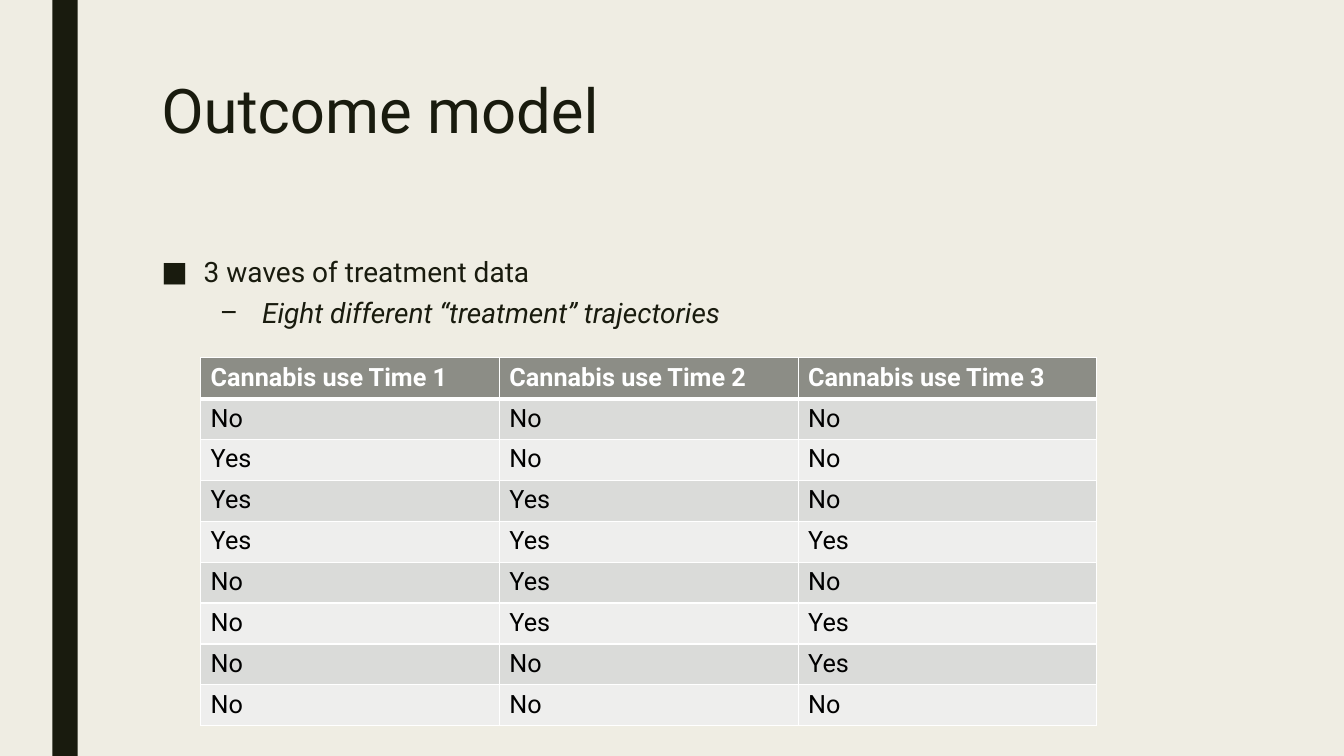
from lxml import etree
from pptx import Presentation
from pptx import util as u
from pptx.dml.color import RGBColor
from pptx.enum import shapes, text
from pptx.oxml.ns import qn

FONT = "Roboto"
INK, PAPER, WHITE, BLACK = "191B0E", "EFEDE3", "FFFFFF", "000000"
HEADER, BANDS = "8C8D86", ("DADBD9", "EEEEED")

HEADINGS = [f"Cannabis use Time {wave}" for wave in (1, 2, 3)]
TRAJECTORIES = [
    ("No", "No", "No"),
    ("Yes", "No", "No"),
    ("Yes", "Yes", "No"),
    ("Yes", "Yes", "Yes"),
    ("No", "Yes", "No"),
    ("No", "Yes", "Yes"),
    ("No", "No", "Yes"),
    ("No", "No", "No"),
]


def rgb(color):
    return RGBColor.from_string(color)


def inches(box):
    return [u.Inches(v) for v in box]


def style(p, size, color, bold=False, italic=False):
    for r in p.runs:
        f = r.font
        f.name, f.size, f.bold, f.italic = FONT, u.Pt(size), bold, italic
        f.color.rgb = rgb(color)


def place(sp, box):
    """Moves a placeholder and returns its top-anchored text frame."""
    sp.left, sp.top, sp.width, sp.height = inches(box)
    tf = sp.text_frame
    tf.word_wrap = True
    tf.auto_size = text.MSO_AUTO_SIZE.NONE
    tf.vertical_anchor = text.MSO_ANCHOR.TOP
    return tf


def set_bullet(p, char, margin, hanging):
    pPr = p._p.get_or_add_pPr()
    pPr.set("marL", str(u.Inches(margin)))
    pPr.set("indent", str(-u.Inches(hanging)))
    etree.SubElement(pPr, qn("a:buFont")).set("typeface", FONT)
    etree.SubElement(pPr, qn("a:buChar")).set("char", char)


def set_borders(cell, color, **widths):
    """Draws the L, R, T and B borders, 1 pt unless given."""
    tcPr = cell._tc.get_or_add_tcPr()
    for i, side in enumerate("LRTB"):
        ln = etree.Element(qn(f"a:ln{side}"), w=str(u.Pt(widths.get(side, 1))))
        fill = etree.SubElement(ln, qn("a:solidFill"))
        etree.SubElement(fill, qn("a:srgbClr")).set("val", color)
        tcPr.insert(i, ln)


def add_side_bar(s, box):
    sp = s.shapes.add_shape(shapes.MSO_SHAPE.RECTANGLE, *inches(box))
    sp.shadow.inherit = False
    sp.fill.solid()
    sp.fill.fore_color.rgb = rgb(INK)
    sp.line.fill.background()


def add_title(s, box, wording):
    p = place(s.shapes.title, box).paragraphs[0]
    p.text = wording
    p.alignment = text.PP_ALIGN.LEFT
    p.line_spacing = 0.89
    style(p, 44, INK)


def add_points(s, box, points):
    tf = place(s.placeholders[1], box)
    tf.text = "\n".join(points)
    for level, p in enumerate(tf.paragraphs):
        p.level = level
        p.line_spacing = 0.94
        p.space_before, p.space_after = u.Pt((10, 5)[level]), u.Pt(2)
        set_bullet(p, "■–"[level], (0.42, 1)[level], 0.42)
        style(p, 20, INK, italic=level == 1)


def add_trajectory_table(s, box):
    rows = [HEADINGS, *TRAJECTORIES]
    tbl = s.shapes.add_table(len(rows), len(HEADINGS), *inches(box)).table
    for i, row in enumerate(rows):
        for j, wording in enumerate(row):
            cell = tbl.cell(i, j)
            cell.text = wording
            cell.fill.solid()
            cell.fill.fore_color.rgb = rgb(BANDS[(i - 1) % 2] if i else HEADER)
            # Thick rule between the header and the first row
            set_borders(cell, WHITE, T=3 if i == 1 else 1, B=1 if i else 3)
            style(cell.text_frame.paragraphs[0], 18,
                  BLACK if i else WHITE, bold=i == 0)


def add_outcome_slide(prs):
    s = prs.slides.add_slide(prs.slide_layouts[1])
    s.background.fill.solid()
    s.background.fill.fore_color.rgb = rgb(PAPER)
    add_side_bar(s, (0.52, 0, 0.25, 7.5))
    add_title(s, (1.5, 0.75, 10.5, 1.62), "Outcome model")
    add_points(s, (1.5, 2.5, 10.5, 3.92),
               ["3 waves of treatment data",
                "Eight different “treatment” trajectories"])
    add_trajectory_table(s, (1.99, 3.55, 8.89, 3.65))


def main():
    prs = Presentation()
    prs.slide_width, prs.slide_height = u.Inches(13.33), u.Inches(7.5)
    add_outcome_slide(prs)
    prs.save("out.pptx")


if __name__ == "__main__":
    main()
